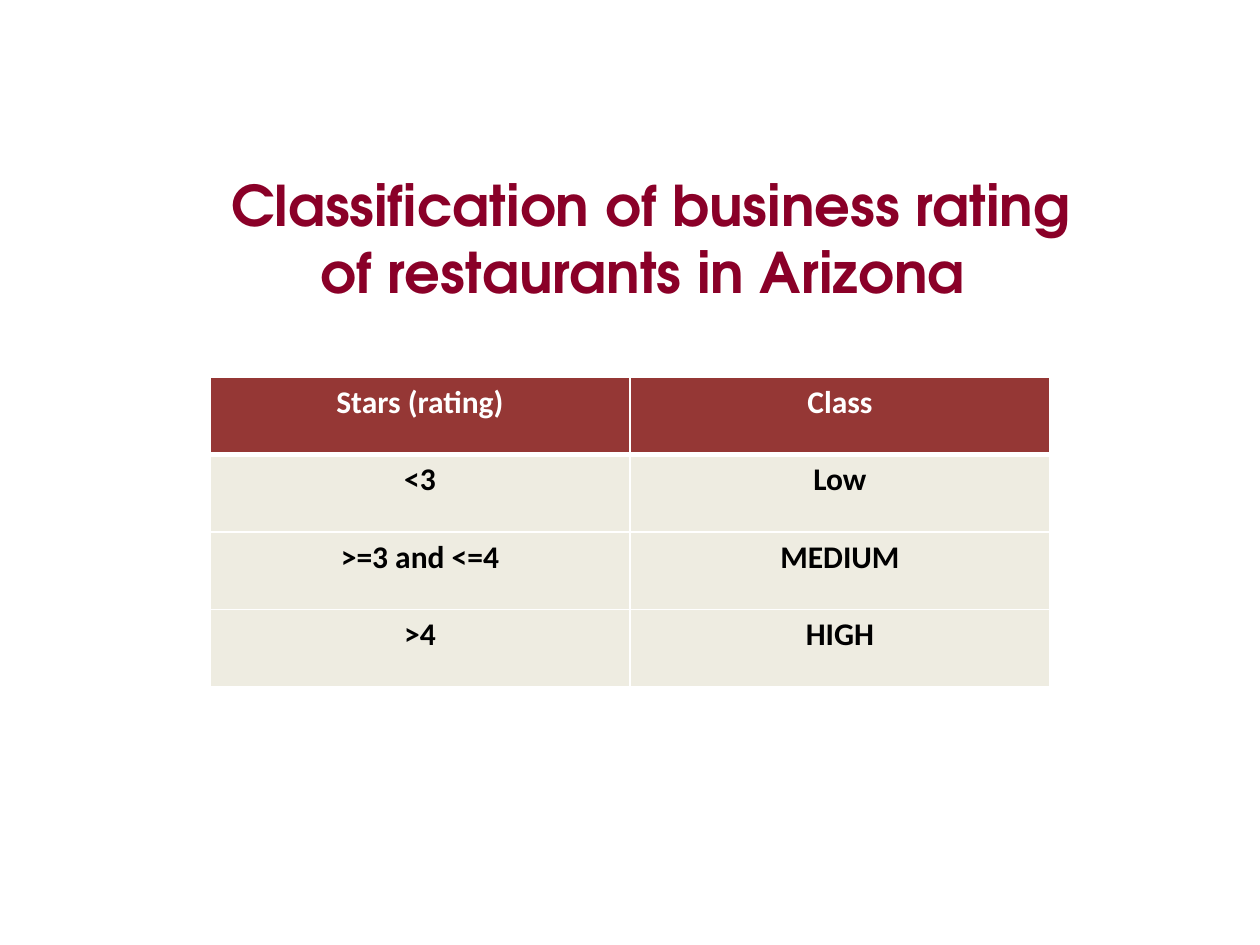
from lxml.etree import SubElement
from pptx import Presentation
from pptx.dml.color import RGBColor
from pptx.enum.text import PP_ALIGN
from pptx.oxml.ns import qn
from pptx.util import Emu, Pt

ROWS = [
    ("Stars (rating)", "Class"),
    ("<3", "Low"),
    (">=3 and <=4", "MEDIUM"),
    (">4", "HIGH"),
]


def px(size):
    return Emu(round(size * 914400 / 126))


def color(code):
    return RGBColor.from_string(code)


def style(para, name, size, code):
    para.alignment = PP_ALIGN.CENTER
    font = para.font
    font.name, font.size, font.bold = name, Pt(size), True
    font.color.rgb = color(code)


def add_title(slide, text, *place):
    frame = slide.shapes.add_textbox(*map(px, place)).text_frame
    frame.word_wrap = True
    frame.text = text
    style(frame.paragraphs[0], "TeX Gyre Adventor", 32, "8A0028")


def add_edge(cell, side, width):
    props = cell._tc.get_or_add_tcPr()
    line = SubElement(props, qn(f"a:ln{side}"), w=str(Pt(width)))
    fill = SubElement(line, qn("a:solidFill"))
    SubElement(fill, qn("a:srgbClr"), val="FFFFFF")


def fill_cell(cell, text, row):
    head = row == 0
    cell.text = text
    style(cell.text_frame.paragraphs[0], "Calibri", 18,
          "FFFFFF" if head else "000000")
    for side in "LRTB":
        thick = (side, row) in (("B", 0), ("T", 1))
        add_edge(cell, side, 3 if thick else 1)
    cell.fill.solid()
    cell.fill.fore_color.rgb = color("953735" if head else "EEECE1")


def add_grid(slide, rows, *place):
    shape = slide.shapes.add_table(len(rows), len(rows[0]), *map(px, place))
    for row, texts in enumerate(rows):
        for col, text in enumerate(texts):
            fill_cell(shape.table.cell(row, col), text, row)


def main():
    deck = Presentation()
    deck.slide_width, deck.slide_height = px(1260), px(945)
    slide = deck.slides.add_slide(deck.slide_layouts[6])
    add_title(slide, "Classification of business rating of restaurants in Arizona ",
              218, 164, 866, 593)
    add_grid(slide, ROWS, 210, 377, 840, 310)
    deck.save("out.pptx")


if __name__ == "__main__":
    main()
